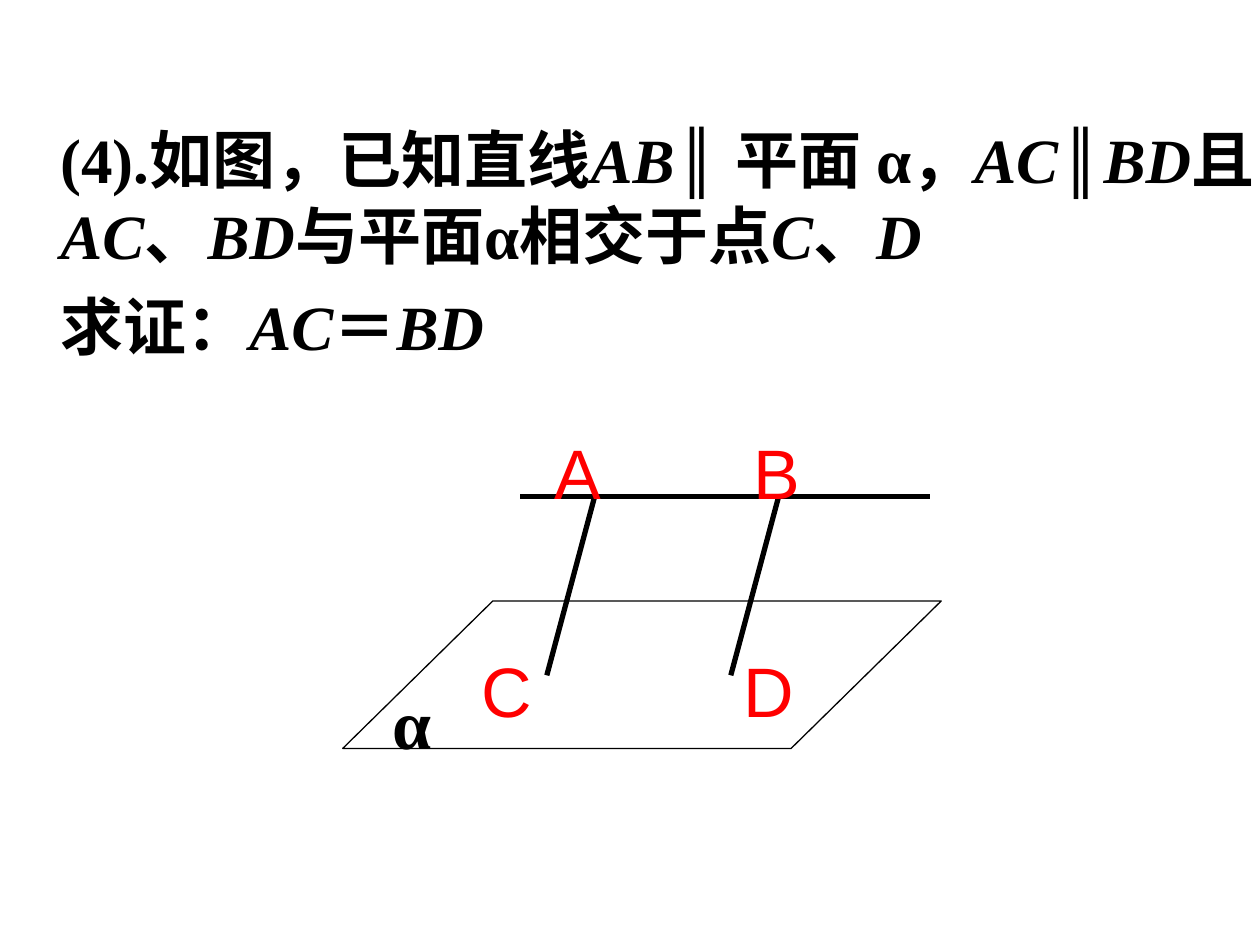
from lxml import etree
from pptx import Presentation
from pptx import util as u
from pptx.dml.color import RGBColor
from pptx.enum import shapes, text
from pptx.oxml.ns import qn

COLORS = {"ink": "000000", "paper": "FFFFFF", "label": "FF0000"}
SERIF, SANS = "Times New Roman", "Arial"

# Each paragraph alternates upright and italic pieces, starting upright
PROBLEM = [
    ["(4).如图，已知直线", "AB", "∥ 平面 α，", "AC", "∥", "BD", "且", "AC",
     "、", "BD", "与平面α相交于点", "C", "、", "D"],
    ["求证：", "AC", "＝", "BD"],
]


def color(name):
    return RGBColor.from_string(COLORS[name])


def format_font(font, color_name, **values):
    font.color.rgb = color(color_name)
    for name, value in values.items():
        setattr(font, name, value)


def fill_problem(placeholder):
    placeholder.left, placeholder.top = u.Inches(0), u.Inches(0.91)
    placeholder.width, placeholder.height = u.Inches(10.2), u.Inches(4.5)
    frame = placeholder.text_frame
    frame.auto_size = text.MSO_AUTO_SIZE.NONE
    for index, pieces in enumerate(PROBLEM):
        paragraph = frame.add_paragraph() if index else frame.paragraphs[0]
        paragraph.space_before = u.Pt(9 if index else 0)
        properties = paragraph._p.get_or_add_pPr()
        properties.set("marL", str(u.Inches(0.38)))
        properties.set("indent", "0")
        etree.SubElement(properties, qn("a:buNone"))
        for position, piece in enumerate(pieces):
            run = paragraph.add_run()
            run.text = piece
            format_font(run.font, "ink", name=SERIF, size=u.Pt(36),
                        bold=True, italic=position % 2 == 1)


def add_plane(group, left, top, width, height):
    plane = group.shapes.add_shape(
        shapes.MSO_SHAPE.PARALLELOGRAM,
        *map(u.Inches, (left, top, width, height)))
    plane.adjustments[0] = 1.018
    plane.shadow.inherit = False
    plane.fill.solid()
    plane.fill.fore_color.rgb = color("paper")
    plane.line.color.rgb = color("ink")
    plane.line.width = u.Pt(0.75)


def add_segment(group, *ends):
    segment = group.shapes.add_connector(
        shapes.MSO_CONNECTOR.STRAIGHT, *map(u.Inches, ends))
    segment.line.color.rgb = color("ink")
    segment.line.width = u.Pt(3)
    etree.SubElement(segment._element.spPr, qn("a:effectLst"))


def add_label(group, letter, left, top, width, color_name="label", **values):
    box = group.shapes.add_textbox(*map(u.Inches, (left, top, width, 0.77)))
    box.text_frame.word_wrap = True
    paragraph = box.text_frame.paragraphs[0]
    run = paragraph.add_run()
    run.text = letter
    format_font(run.font, color_name, size=u.Pt(40), **values)


def main():
    presentation = Presentation()
    presentation.slide_width = u.Inches(10)
    presentation.slide_height = u.Inches(7.5)
    slide = presentation.slides.add_slide(presentation.slide_layouts[1])
    title, body = slide.placeholders
    title._element.getparent().remove(title._element)

    # Problem statement
    fill_problem(body)

    # Plane, line AB and the parallel segments AC and BD
    figure = slide.shapes.add_group_shape()
    add_plane(figure, 2.72, 4.77, 4.75, 1.17)
    line_y = 3.94
    add_segment(figure, 4.13, line_y, 7.38, line_y)
    for start_x in (4.72, 6.18):
        add_segment(figure, start_x, line_y, start_x - 0.38, 5.36)

    # Labels
    add_label(figure, "α", 3.02, 5.34, 0.78, "ink", name=SERIF, bold=True)
    for letter, left, top, width in (("A", 4.3, 3.36, 1.08),
                                     ("B", 5.88, 3.36, 0.83),
                                     ("C", 3.72, 5.09, 1.67),
                                     ("D", 5.8, 5.09, 1.08)):
        add_label(figure, letter, left, top, width, name=SANS)

    presentation.save("out.pptx")


if __name__ == "__main__":
    main()
